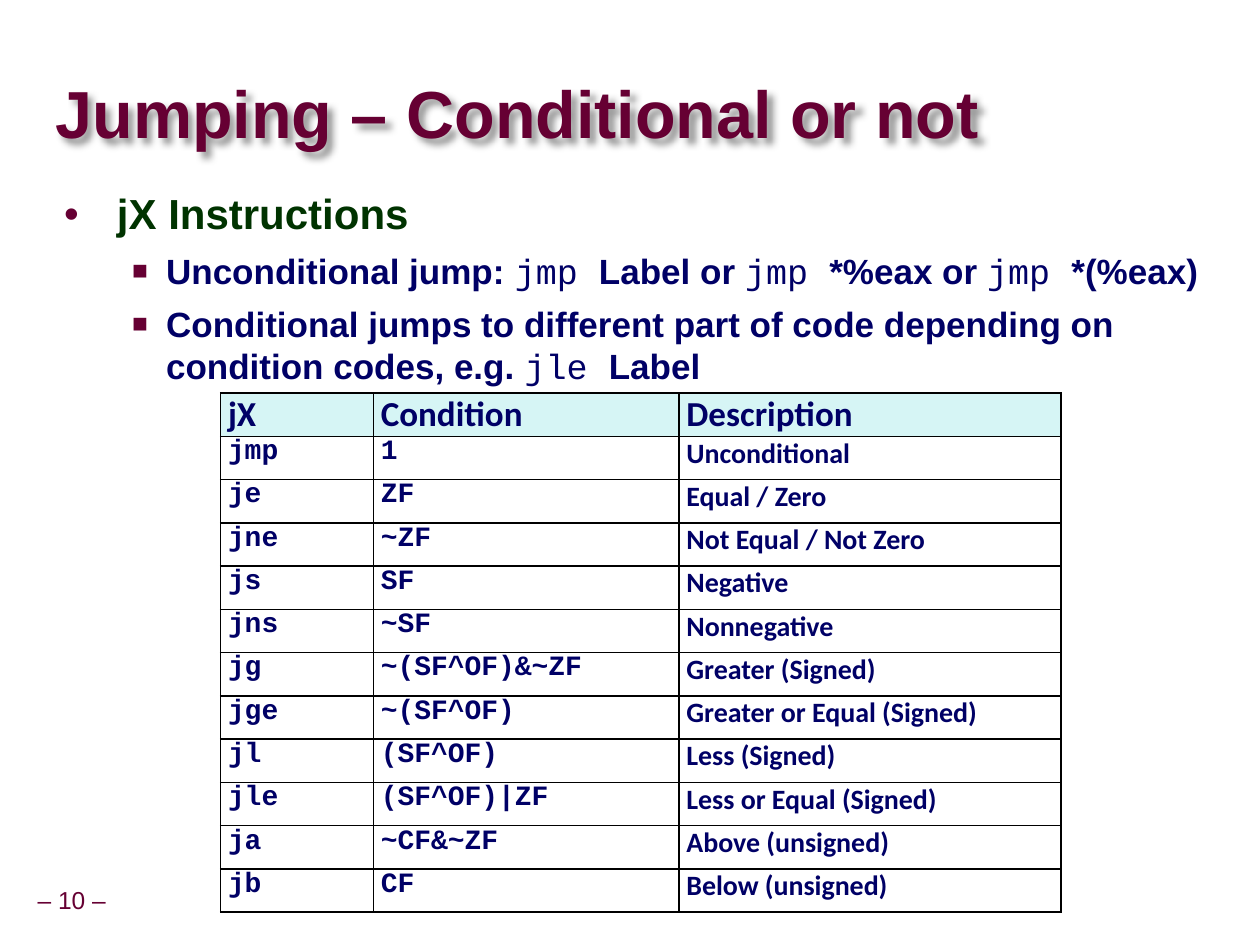
"""Build a slide on conditional and unconditional jump instructions."""
from lxml.etree import SubElement as Sub
from pptx import Presentation
from pptx.dml.color import RGBColor as RGB
from pptx.enum.text import MSO_ANCHOR as Anchor, PP_ALIGN as Align
from pptx.oxml.ns import qn
from pptx.util import Inches, Pt

HUE = {"wine": "660033", "green": "003300", "navy": "000066",
       "head": "D6F5F5", "line": "000000"}
SANS, MONO, CELL = "Arial", "Courier New", "Calibri"
WIDE, HIGH = 10, 7.5

TITLE = "Jumping – Conditional or not"
PAGE = "– 10 –"
LEAD = "jX Instructions"
POINTS = [
    [("Unconditional jump: ", SANS), ("jmp ", MONO), ("Label or ", SANS),
     ("jmp ", MONO), ("*%eax or ", SANS), ("jmp ", MONO), ("*(%eax)", SANS)],
    [("Conditional jumps to different part of code depending on "
      "condition codes, e.g. ", SANS), ("jle ", MONO), ("Label", SANS)],
]
HEAD = ("jX", "Condition", "Description")
JUMPS = [
    ("jmp", "1", "Unconditional"),
    ("je", "ZF", "Equal / Zero"),
    ("jne", "~ZF", "Not Equal / Not Zero"),
    ("js", "SF", "Negative"),
    ("jns", "~SF", "Nonnegative"),
    ("jg", "~(SF^OF)&~ZF", "Greater (Signed)"),
    ("jge", "~(SF^OF)", "Greater or Equal (Signed)"),
    ("jl", "(SF^OF)", "Less (Signed)"),
    ("jle", "(SF^OF)|ZF", "Less or Equal (Signed)"),
    ("ja", "~CF&~ZF", "Above (unsigned)"),
    ("jb", "CF", "Below (unsigned)"),
]
GRID = {"left": 1.75, "top": 3.12, "wide": 6.67, "high": 2.06}
SHARES = (2, 4, 5)
BLOCK = 6


def put(obj, **vals):
    for key, val in vals.items():
        setattr(obj, key, val)


def write(para, text, face, size, hue, bold=True):
    run = para.add_run()
    run.text = text
    put(run.font, name=face, size=Pt(size), bold=bold)
    run.font.color.rgb = RGB.from_string(HUE[hue])


def inset(obj, side, edge):
    put(obj, margin_left=Inches(side), margin_right=Inches(side),
        margin_top=Inches(edge), margin_bottom=Inches(edge))


def box(slide, area, side, edge, **vals):
    shape = slide.shapes.add_textbox(*map(Inches, area))
    frame = shape.text_frame
    inset(frame, side, edge)
    put(frame, **{"word_wrap": True, **vals})
    return shape, frame.paragraphs[0]


def bullet(para, mark, left, hang, size=100):
    props = para._p.get_or_add_pPr()
    props.set("marL", str(Inches(left)))
    props.set("indent", str(-Inches(hang)))
    Sub(Sub(props, qn("a:buClr")), qn("a:srgbClr"), val=HUE["wine"])
    Sub(props, qn("a:buSzPct"), val=str(size * 1000))
    Sub(props, qn("a:buFont"), typeface=SANS)
    Sub(props, qn("a:buChar"), char=mark)


def shade(shape):
    effect = Sub(shape._element.spPr, qn("a:effectLst"))
    cast = Sub(effect, qn("a:outerShdw"), blurRad=str(Pt(4)),
               dist=str(Pt(4)), dir="2700000", algn="tl", rotWithShape="0")
    tone = Sub(cast, qn("a:srgbClr"), val=HUE["line"])
    Sub(tone, qn("a:alpha"), val="40000")


def border(cell):
    props = cell._tc.get_or_add_tcPr()
    for spot, side in enumerate(("lnL", "lnR", "lnT", "lnB")):
        line = props.makeelement(qn("a:" + side), {"w": str(Pt(1))})
        Sub(Sub(line, qn("a:solidFill")), qn("a:srgbClr"), val=HUE["line"])
        props.insert(spot, line)


def table(slide, rows, top):
    area = GRID["left"], top, GRID["wide"], GRID["high"]
    grid = slide.shapes.add_table(
        len(rows), len(SHARES), *map(Inches, area)).table
    put(grid, first_row=False, horz_banding=False)
    for col, share in zip(grid.columns, SHARES):
        col.width = Inches(GRID["wide"] * share / sum(SHARES))
    for line, row in zip(grid.rows, rows):
        line.height = Inches(GRID["high"] / BLOCK)
        head = row is HEAD
        for spot, (cell, text) in enumerate(zip(line.cells, row)):
            inset(cell, 0.06, 0)
            if head:
                cell.fill.solid()
                cell.fill.fore_color.rgb = RGB.from_string(HUE["head"])
            else:
                cell.fill.background()
            border(cell)
            face = CELL if head or spot == 2 else MONO
            write(cell.text_frame.paragraphs[0], text, face,
                  20 if head else 16, "navy")


def main():
    deck = Presentation()
    put(deck, slide_width=Inches(WIDE), slide_height=Inches(HIGH))
    slide = deck.slides.add_slide(deck.slide_layouts[6])

    _, para = box(slide, (0.24, 7, 0.66, 0.31), 0.05, 0.05,
                  word_wrap=False, vertical_anchor=Anchor.MIDDLE)
    put(para, alignment=Align.CENTER, line_spacing=0.9)
    write(para, PAGE, SANS, 14, "wine", False)

    shape, para = box(slide, (0.44, 0.62, 8.56, 0.63), 0, 0,
                      vertical_anchor=Anchor.MIDDLE)
    para.line_spacing = 0.87
    write(para, TITLE, SANS, 38, "wine")
    shade(shape)

    shape, para = box(slide, (0.41, 1.47, 9.25, 1.33), 0.1, 0.05)
    bullet(para, "•", 0.42, 0.42)
    para.line_spacing = 0.95
    write(para, LEAD, SANS, 24, "green")
    for point in POINTS:
        para = shape.text_frame.add_paragraph()
        bullet(para, "■", 0.81, 0.27, 75)
        put(para, level=1, space_before=Pt(6))
        for text, face in point:
            write(para, text, face, 20, "navy", face == SANS)

    rows = [HEAD, *JUMPS]
    for start in range(0, len(rows), BLOCK):
        top = GRID["top"] + GRID["high"] * start / BLOCK
        table(slide, rows[start:start + BLOCK], top)
    deck.save("out.pptx")


if __name__ == "__main__":
    main()
